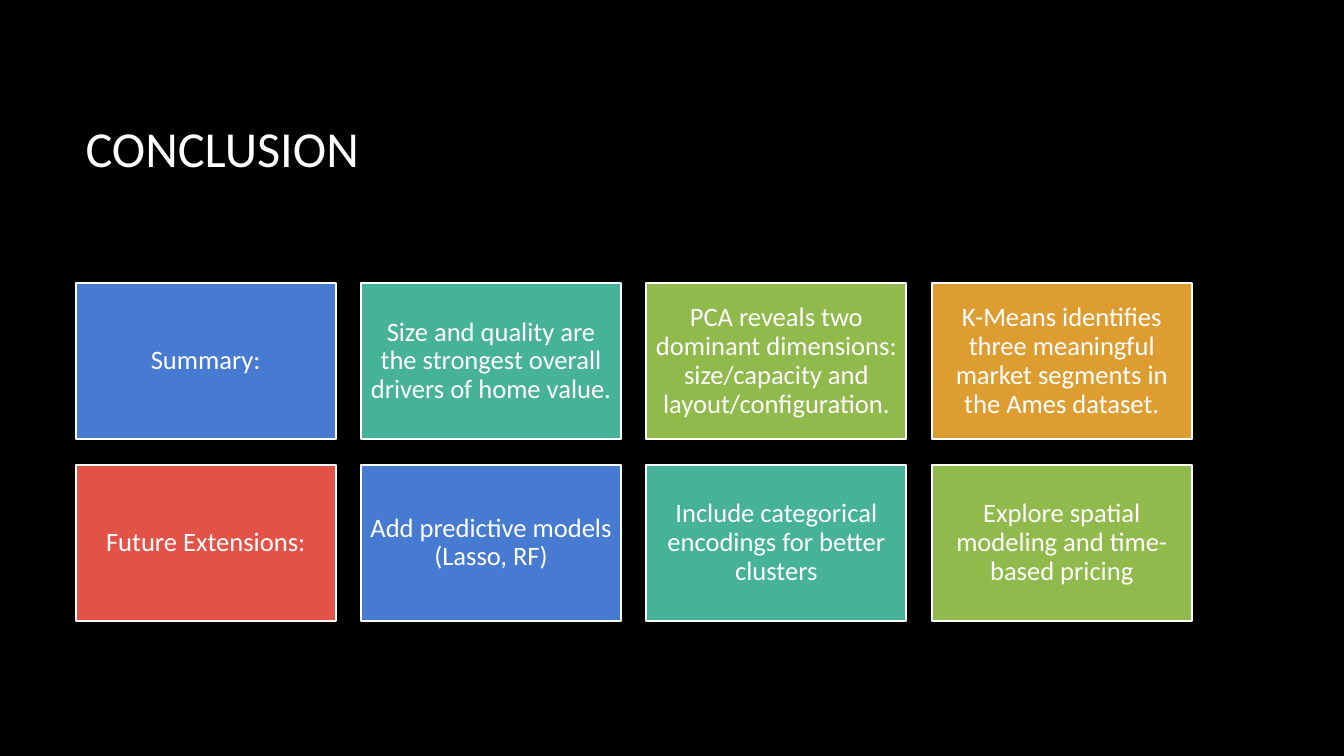
from dataclasses import dataclass

from pptx import Presentation
from pptx.dml.color import RGBColor
from pptx.enum.shapes import MSO_SHAPE
from pptx.enum.text import MSO_ANCHOR, PP_ALIGN
from pptx.shapes.autoshape import Shape
from pptx.slide import Slide
from pptx.util import Inches, Pt

BLACK = RGBColor(0x00, 0x00, 0x00)
WHITE = RGBColor(0xFF, 0xFF, 0xFF)
BLUE = RGBColor(0x47, 0x7B, 0xD1)
TEAL = RGBColor(0x46, 0xB2, 0x98)
GREEN = RGBColor(0x90, 0xBA, 0x4C)
ORANGE = RGBColor(0xDD, 0x9D, 0x31)
RED = RGBColor(0xE2, 0x52, 0x47)
CARD_COLORS = (BLUE, TEAL, GREEN, ORANGE, RED)

FONT = "Calibri"
LEFT = 0.75
CARDS_TOP = 2.81
CARD_WIDTH, CARD_HEIGHT = 2.58, 1.55
GAP = 0.25
COLUMNS = 4

CARD_TEXTS = (
    "Summary:",
    "Size and quality are the strongest overall drivers of home value.",
    "PCA reveals two dominant dimensions: size/capacity and layout/configuration.",
    "K-Means identifies three meaningful market segments in the Ames dataset.",
    "Future Extensions:",
    "Add predictive models (Lasso, RF)",
    "Include categorical encodings for better clusters",
    "Explore spatial modeling and time-based pricing",
)


@dataclass(frozen=True)
class Card:
    text: str
    color: RGBColor
    left: float
    top: float


def layout_cards() -> list[Card]:
    """Place the texts row by row, cycling through the card colors."""
    cards = []
    for index, text in enumerate(CARD_TEXTS):
        row, column = divmod(index, COLUMNS)
        cards.append(Card(
            text,
            CARD_COLORS[index % len(CARD_COLORS)],
            LEFT + column * (CARD_WIDTH + GAP),
            CARDS_TOP + row * (CARD_HEIGHT + GAP),
        ))
    return cards


def write_text(shape: Shape, text: str, *, size: float,
               align: PP_ALIGN = PP_ALIGN.LEFT, line_spacing: float = 1.0,
               inset: float = 0.1) -> None:
    frame = shape.text_frame
    frame.word_wrap = True
    frame.vertical_anchor = MSO_ANCHOR.MIDDLE
    frame.margin_left = frame.margin_right = Inches(inset)
    frame.margin_top = frame.margin_bottom = Inches(inset)
    paragraph = frame.paragraphs[0]
    paragraph.alignment = align
    paragraph.line_spacing = line_spacing
    run = paragraph.add_run()
    run.text = text
    run.font.name = FONT
    run.font.size = Pt(size)
    run.font.color.rgb = WHITE


def draw_title(slide: Slide, text: str) -> None:
    title = slide.shapes.add_textbox(
        Inches(LEFT), Inches(0.67), Inches(11.08), Inches(1.59))
    write_text(title, text, size=36)


def draw_card(slide: Slide, card: Card) -> None:
    shape = slide.shapes.add_shape(
        MSO_SHAPE.RECTANGLE, Inches(card.left), Inches(card.top),
        Inches(CARD_WIDTH), Inches(CARD_HEIGHT))
    shape.shadow.inherit = False
    shape.fill.solid()
    shape.fill.fore_color.rgb = card.color
    shape.line.color.rgb = WHITE
    shape.line.width = Pt(1.5)
    write_text(shape, card.text, size=19, align=PP_ALIGN.CENTER,
               line_spacing=0.9, inset=0.08)


def main() -> None:
    presentation = Presentation()
    presentation.slide_width = Inches(13.33)
    presentation.slide_height = Inches(7.5)
    slide = presentation.slides.add_slide(presentation.slide_layouts[6])
    slide.background.fill.solid()
    slide.background.fill.fore_color.rgb = BLACK
    draw_title(slide, "CONCLUSION")
    for card in layout_cards():
        draw_card(slide, card)
    presentation.save("out.pptx")


if __name__ == "__main__":
    main()
